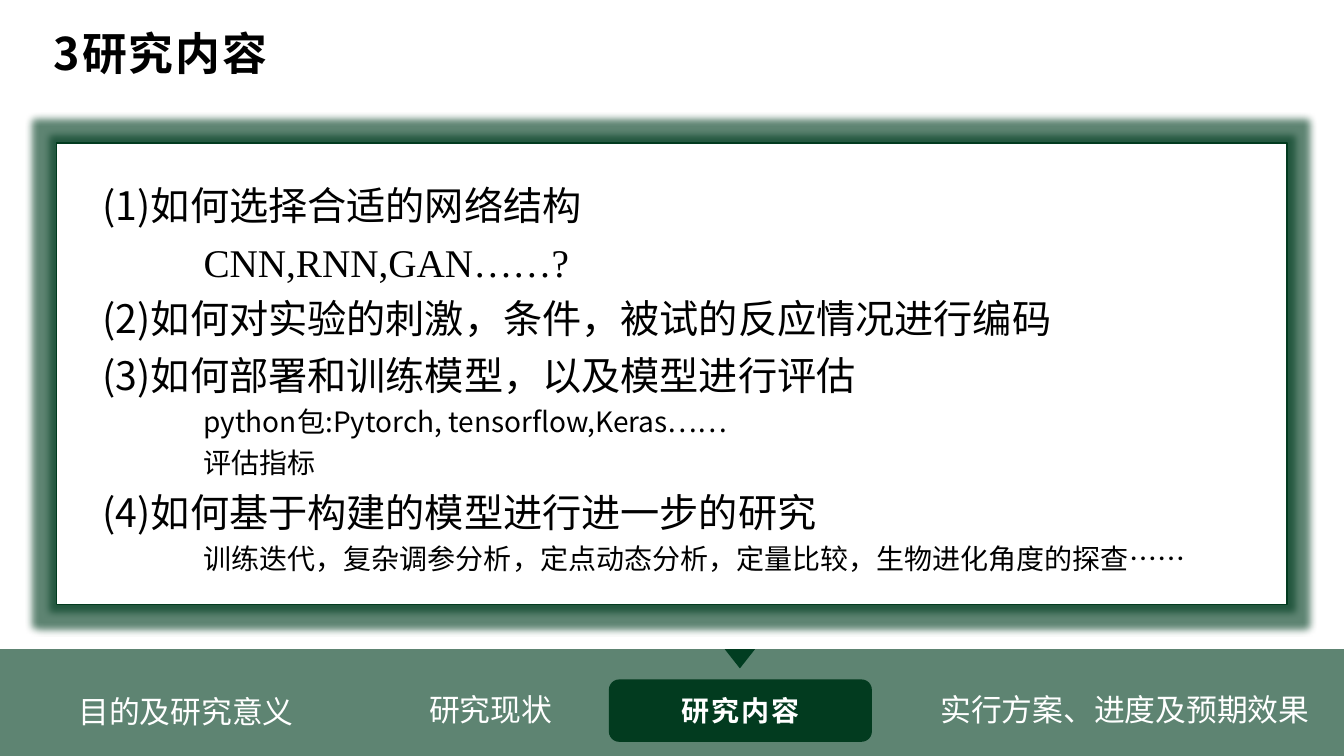
from dataclasses import dataclass

import pptx
import pptx.dml.color
import pptx.enum.shapes
import pptx.enum.text
import pptx.oxml
import pptx.oxml.ns
import pptx.util

Pt = pptx.util.Pt
RGB = pptx.dml.color.RGBColor.from_string
SHAPE = pptx.enum.shapes.MSO_SHAPE
ALIGN = pptx.enum.text.PP_ALIGN
ANCHOR = pptx.enum.text.MSO_ANCHOR
qn = pptx.oxml.ns.qn
DRAWING_NS = "http://schemas.openxmlformats.org/drawingml/2006/main"


@dataclass(frozen=True)
class Theme:
    green: str = "013D21"
    dark_green: str = "023B1F"
    white: str = "FFFFFF"
    black: str = "000000"
    font: str = "Noto Sans CJK SC"
    serif: str = "Times New Roman"
    title: float = 32
    topic: float = 28
    nav: float = 22
    small: float = 20


THEME = Theme()

# Text, size, font and whether it is an indented detail
CONTENT = [
    ("(1)如何选择合适的网络结构", THEME.topic, THEME.font, False),
    ("CNN,RNN,GAN……?", THEME.topic, THEME.serif, True),
    ("(2)如何对实验的刺激，条件，被试的反应情况进行编码", THEME.topic, THEME.font, False),
    ("(3)如何部署和训练模型，以及模型进行评估", THEME.topic, THEME.font, False),
    ("python包:Pytorch, tensorflow,Keras……", THEME.small, THEME.font, True),
    ("评估指标", THEME.small, THEME.font, True),
    ("(4)如何基于构建的模型进行进一步的研究", THEME.topic, THEME.font, False),
    ("训练迭代，复杂调参分析，定点动态分析，定量比较，生物进化角度的探查……",
     THEME.small, THEME.font, True),
]

# Text, left, top offset in the bar, width
NAV_ITEMS = [
    ("目的及研究意义", 49, 27.3, 172),
    ("研究现状", 299.5, 25.9, 170),
    ("实行方案、进度及预期效果", 664.6, 25.9, 284),
]


def format_paragraph(paragraph, size, color, font=THEME.font, bold=False, spacing=0):
    for run in paragraph.runs:
        run.font.size = Pt(size)
        run.font.bold = bold
        run.font.name = font
        run.font.color.rgb = RGB(color)
        properties = run.font._element
        if spacing:
            properties.set("spc", str(int(spacing * 100)))
        east_asian = pptx.oxml.parse_xml(f'<a:ea xmlns:a="{DRAWING_NS}" typeface="{THEME.font}"/>')
        properties.find(qn("a:latin")).addnext(east_asian)


def add_block(slide, preset, box, fill, line=None):
    block = slide.shapes.add_shape(preset, *map(Pt, box))
    block.shadow.inherit = False
    block.fill.solid()
    block.fill.fore_color.rgb = RGB(fill)
    if line:
        block.line.color.rgb = RGB(line)
        block.line.width = Pt(1)
    else:
        block.line.fill.background()
    return block


def add_label(slide, box):
    label = slide.shapes.add_textbox(*map(Pt, box))
    label.text_frame.word_wrap = True
    return label.text_frame


def alpha_xml(percent):
    return f'<a:alpha xmlns:a="{DRAWING_NS}" val="{percent * 1000}"/>'


def add_title(slide, box):
    title = slide.shapes.title
    title.left, title.top, title.width, title.height = map(Pt, box)
    frame = title.text_frame
    frame.text = "3研究内容"
    frame.auto_size = pptx.enum.text.MSO_AUTO_SIZE.NONE
    frame.vertical_anchor = ANCHOR.TOP
    heading = frame.paragraphs[0]
    heading.alignment = ALIGN.LEFT
    format_paragraph(heading, THEME.title, THEME.black, bold=True, spacing=1.5)


def add_content(slide, box):
    left, top, width, height = box
    # Glowing frame
    frame = add_block(slide, SHAPE.RECTANGLE, box, THEME.white, THEME.dark_green)
    glow = pptx.oxml.parse_xml(
        f'<a:glow xmlns:a="{DRAWING_NS}" rad="{Pt(11)}"><a:srgbClr val="{THEME.green}">'
        f'{alpha_xml(63)}</a:srgbClr></a:glow>')
    frame._element.spPr.find(qn("a:effectLst")).append(glow)

    # Research questions with indented details
    questions = add_label(slide, (left + 26, top + 17.3, width - 26, height - 17.3))
    for index, (text, size, font, is_detail) in enumerate(CONTENT):
        question = questions.paragraphs[0] if index == 0 else questions.add_paragraph()
        question.text = text
        question.line_spacing = 1.2
        if is_detail:
            indent = question._p.get_or_add_pPr()
            indent.set("marL", str(Pt(72)))
            indent.set("indent", "0")
        format_paragraph(question, size, THEME.black, font)


def add_navigation(slide, box):
    left, top, width, height = box
    bar = add_block(slide, SHAPE.RECTANGLE, box, THEME.green)
    bar.fill._xPr.find(qn("a:solidFill"))[0].append(pptx.oxml.parse_xml(alpha_xml(63)))

    # Current section and its pointer
    current = add_block(slide, SHAPE.ROUNDED_RECTANGLE,
                        (left + 434.9, top + 21.6, 187.9, 44.6), THEME.dark_green)
    current.text_frame.text = "研究内容"
    current.text_frame.vertical_anchor = ANCHOR.MIDDLE
    current_name = current.text_frame.paragraphs[0]
    current_name.alignment = ALIGN.CENTER
    format_paragraph(current_name, THEME.small, THEME.white, bold=True, spacing=1.5)
    pointer = add_block(slide, SHAPE.ISOSCELES_TRIANGLE,
                        (left + 517.7, top, 21.6, 13.7), THEME.green)
    pointer.rotation = 180

    # Other sections
    for text, offset_x, offset_y, item_width in NAV_ITEMS:
        section = add_label(slide, (left + offset_x, top + offset_y, item_width, 33.8))
        section.text = text
        format_paragraph(section.paragraphs[0], THEME.nav, THEME.white)


def main():
    deck = pptx.Presentation()
    deck.slide_width, deck.slide_height = Pt(960), Pt(540)
    slide = deck.slides.add_slide(deck.slide_layouts[5])
    add_title(slide, (31, 15.1, 430, 46))
    add_content(slide, (40.3, 102.2, 879.1, 329.8))
    add_navigation(slide, (0, 463.7, 960, 76.3))
    deck.save("out.pptx")


if __name__ == "__main__":
    main()
